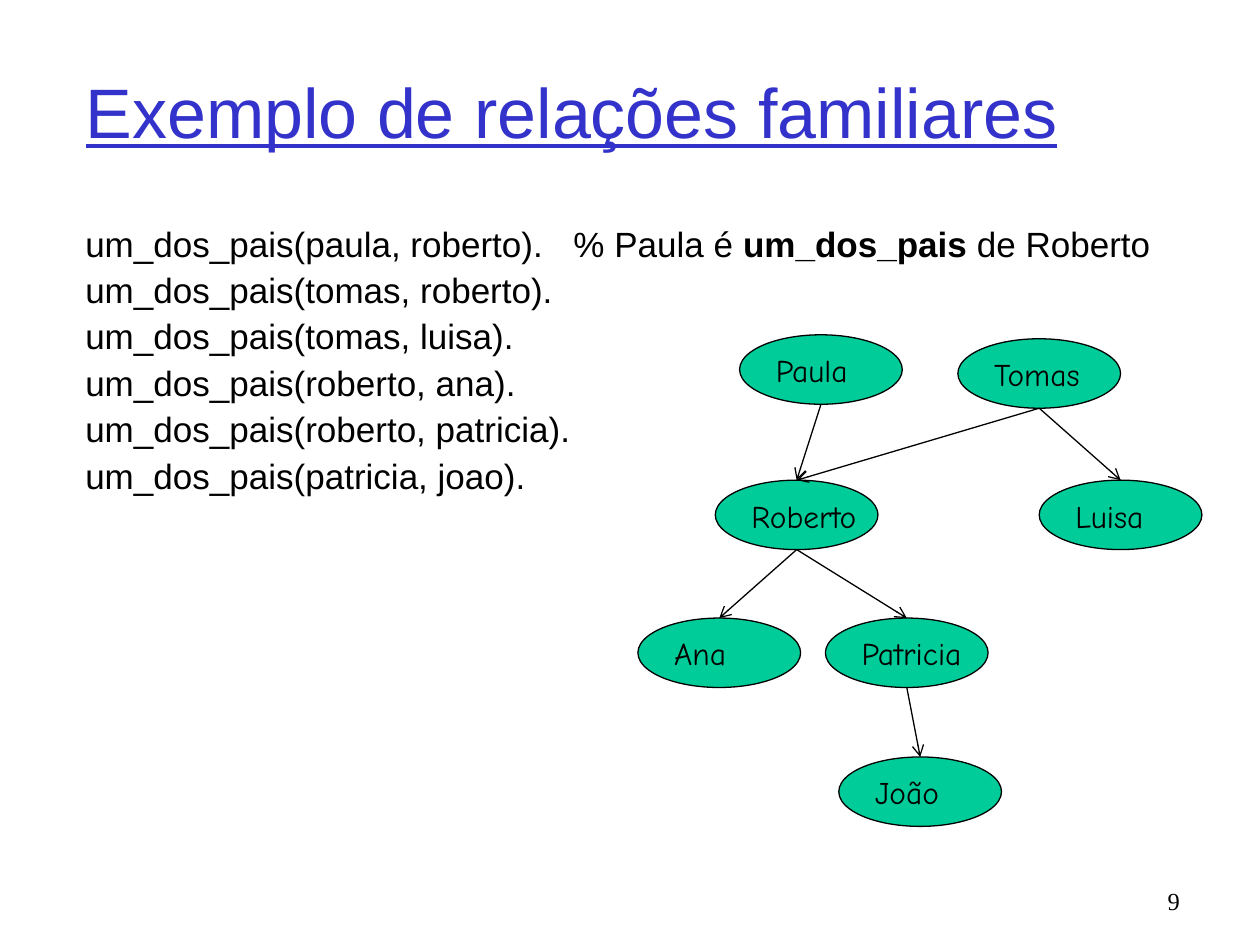
from pptx import Presentation
from pptx.util import Cm, Pt
from pptx.dml.color import RGBColor as RGB
from pptx.enum.shapes import MSO_CONNECTOR as LINK, MSO_SHAPE as FORM
from pptx.enum.text import MSO_ANCHOR as ANCHOR, PP_ALIGN as ALIGN
from pptx.oxml.ns import qn
from lxml.etree import SubElement as sub

HUES = {"ink": "000000", "title": "3333CC", "node": "00CC99"}


def write(para, text, font="Arial", size=20, hue="ink", bold=False, line=False):
    run = para.add_run()
    run.text = text
    face = run.font
    face.name, face.size, face.bold, face.underline = font, Pt(size), bold, line
    face.color.rgb = RGB.from_string(HUES[hue])


class Page:
    hand = "Comic Neue"
    stroke = Pt(0.75)
    node_w, node_h = Cm(3.28), Cm(1.4)

    def __init__(self, deck):
        self.slide = deck.slides.add_slide(deck.slide_layouts[5])
        self.shapes = self.slide.shapes

    def title(self, text, x, y, w, h):
        box = self.shapes.title
        box.left, box.top, box.width, box.height = Cm(x), Cm(y), Cm(w), Cm(h)
        frame = box.text_frame
        frame.vertical_anchor = ANCHOR.MIDDLE
        frame.paragraphs[0].alignment = ALIGN.LEFT
        write(frame.paragraphs[0], text, size=40, hue="title", line=True)

    def box(self, x, y, w, h, wrap=True):
        frame = self.shapes.add_textbox(Cm(x), Cm(y), Cm(w), Cm(h)).text_frame
        frame.word_wrap = wrap
        return frame

    def facts(self, rows, x, y, w, h, tab):
        frame = self.box(x, y, w, h)
        for i, parts in enumerate(rows):
            para = frame.add_paragraph() if i else frame.paragraphs[0]
            para.line_spacing = 0.9
            para.space_before = Pt(4.9)
            props = para._p.get_or_add_pPr()
            props.set("marL", str(Cm(0.95)))
            props.set("indent", str(-Cm(0.95)))
            if len(parts) > 1:
                stops = sub(props, qn("a:tabLst"))
                sub(stops, qn("a:tab"), pos=str(Cm(tab)), algn="l")
            for text, bold in parts:
                write(para, text, bold=bold)

    def node(self, text, x, y):
        oval = self.shapes.add_shape(FORM.OVAL, Cm(x), Cm(y), self.node_w, self.node_h)
        oval.shadow.inherit = False
        oval.fill.solid()
        oval.fill.fore_color.rgb = RGB.from_string(HUES["node"])
        oval.line.color.rgb = RGB.from_string(HUES["ink"])
        oval.line.width = self.stroke
        frame = oval.text_frame
        frame.word_wrap = False
        frame.vertical_anchor = ANCHOR.TOP
        frame.paragraphs[0].alignment = ALIGN.LEFT
        write(frame.paragraphs[0], text, font=self.hand, size=18)
        return oval

    def arrow(self, start, end):
        # From the bottom of one oval to the top of the next
        half = self.node_w // 2
        link = self.shapes.add_connector(
            LINK.STRAIGHT, start.left + half, start.top + self.node_h,
            end.left + half, end.top)
        link.line.color.rgb = RGB.from_string(HUES["ink"])
        link.line.width = self.stroke
        props = link._element.spPr
        sub(props.find(qn("a:ln")), qn("a:tailEnd"), type="arrow")
        sub(props, qn("a:effectLst"))


deck = Presentation()
deck.slide_width, deck.slide_height = Cm(25.4), Cm(19.05)
page = Page(deck)

# Title and facts
page.title("Exemplo de relações familiares", 1.47, 0.64, 21.59, 3.18)
pairs = ["paula, roberto", "tomas, roberto", "tomas, luisa",
         "roberto, ana", "roberto, patricia", "patricia, joao"]
rows = [[(f"um_dos_pais({pair}).", False)] for pair in pairs]
rows[0] += [("\t% Paula é ", False), ("um_dos_pais ", True), ("de Roberto", False)]
page.facts(rows, 1.47, 4.45, 23.22, 12.9, tab=10.03)

# Family tree
places = {
    "Paula": (14.91, 6.75), "Tomas": (19.31, 6.83),
    "Roberto": (14.42, 9.68), "Luisa": (20.95, 9.68),
    "Ana": (12.86, 12.46), "Patricia": (16.64, 12.46),
    "João": (16.91, 15.26),
}
nodes = {name: page.node(name, *spot) for name, spot in places.items()}
kin = [("Paula", "Roberto"), ("Tomas", "Roberto"), ("Tomas", "Luisa"),
       ("Roberto", "Ana"), ("Roberto", "Patricia"), ("Patricia", "João")]
for elder, child in kin:
    page.arrow(nodes[elder], nodes[child])

# Page number
foot = page.box(23.29, 17.73, 1.24, 0.84, wrap=False)
write(foot.paragraphs[0], "9", font="Times New Roman", size=14)

deck.save("out.pptx")
